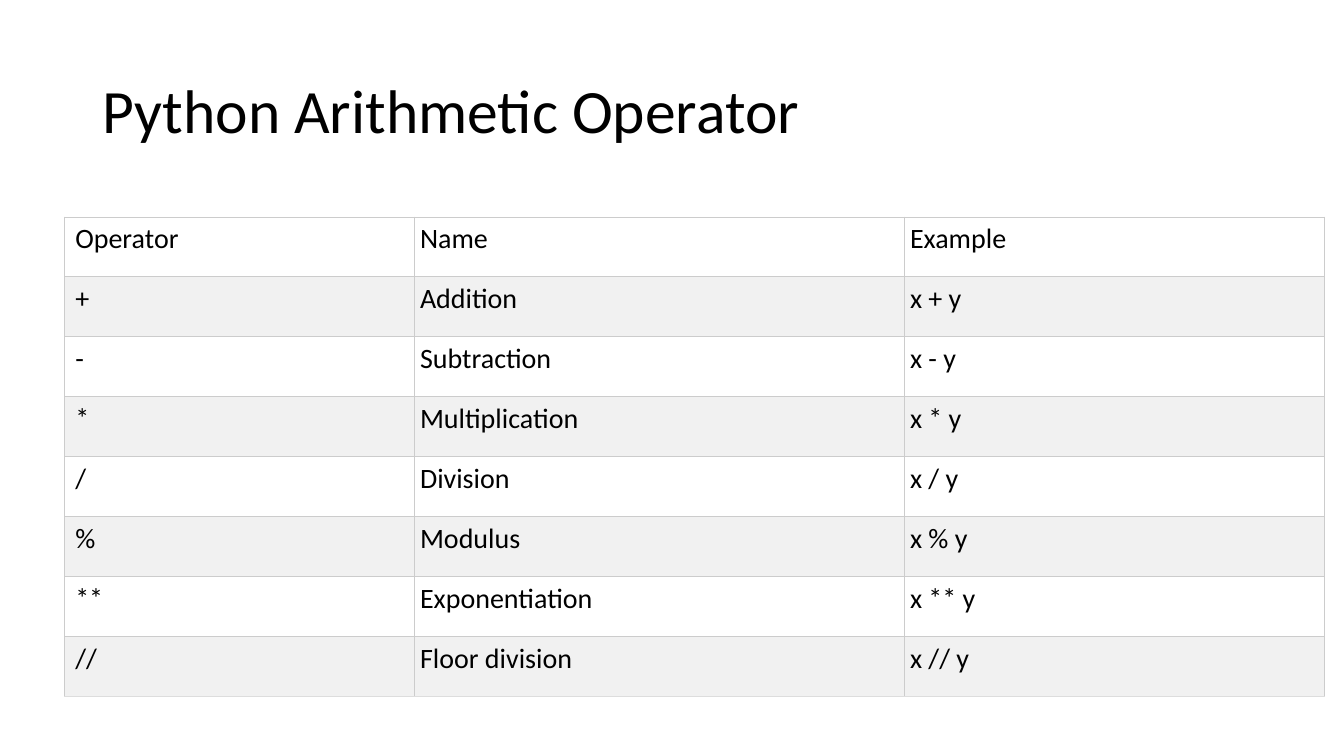
from dataclasses import dataclass

from lxml import etree
from pptx import Presentation
from pptx.dml.color import RGBColor
from pptx.enum.text import MSO_ANCHOR, PP_ALIGN
from pptx.oxml.ns import qn
from pptx.util import Pt

MIDDLE, TOP = MSO_ANCHOR.MIDDLE, MSO_ANCHOR.TOP
LEFT = PP_ALIGN.LEFT

# Content
TITLE = "Python Arithmetic Operator"
HEADER = ("Operator", "Name", "Example")
OPERATORS = [
    ("+", "Addition"),
    ("-", "Subtraction"),
    ("*", "Multiplication"),
    ("/", "Division"),
    ("%", "Modulus"),
    ("**", "Exponentiation"),
    ("//", "Floor division"),
]
ROWS = [HEADER] + [(op, name, f"x {op} y") for op, name in OPERATORS]


@dataclass(frozen=True)
class Theme:
    font: str = "Calibri"
    text: str = "000000"
    bands: tuple = ("FFFFFF", "F1F1F1")
    border: str = "CCCCCC"
    last_border: str = "DDDDDD"
    border_width: float = 0.75
    title_size: int = 44
    cell_size: int = 20


THEME = Theme()

# Layout in points
SLIDE_W, SLIDE_H = 960, 540
TITLE_BOX = (66, 28.75, 828, 104.4)
TABLE_LEFT, TABLE_TOP = 46.3, 155
COL_WIDTHS = (250, 350, 300)
ROW_H = 42.8
PAD, FIRST_PAD = 3.75, 7.5


def write(tf, text, *, size, anchor=TOP, spacing=1.0):
    tf.word_wrap = True
    tf.vertical_anchor = anchor
    p = tf.paragraphs[0]
    p.alignment = LEFT
    p.line_spacing = spacing
    r = p.add_run()
    r.text = text
    r.font.name = THEME.font
    r.font.size = Pt(size)
    r.font.color.rgb = RGBColor.from_string(THEME.text)


def add_borders(cell, bottom):
    tc_pr = cell._tc.get_or_add_tcPr()
    for side in "LRTB":
        ln = etree.SubElement(tc_pr, qn(f"a:ln{side}"), w=str(Pt(THEME.border_width)))
        fill = etree.SubElement(ln, qn("a:solidFill"))
        color = bottom if side == "B" else THEME.border
        etree.SubElement(fill, qn("a:srgbClr"), val=color)


def add_operator_table(s):
    frame = s.shapes.add_table(
        len(ROWS), len(HEADER), Pt(TABLE_LEFT), Pt(TABLE_TOP),
        Pt(sum(COL_WIDTHS)), Pt(ROW_H * len(ROWS)))
    table = frame.table
    for col, width in zip(table.columns, COL_WIDTHS):
        col.width = Pt(width)
    for i, values in enumerate(ROWS):
        table.rows[i].height = Pt(ROW_H)
        bottom = THEME.last_border if i == len(ROWS) - 1 else THEME.border
        for j, value in enumerate(values):
            cell = table.cell(i, j)
            cell.margin_left = Pt(PAD if j else FIRST_PAD)
            cell.margin_right = cell.margin_top = cell.margin_bottom = Pt(PAD)
            add_borders(cell, bottom)
            cell.fill.solid()
            cell.fill.fore_color.rgb = RGBColor.from_string(THEME.bands[i % 2])
            write(cell.text_frame, value, size=THEME.cell_size)
            cell.vertical_anchor = TOP
    table.first_row = table.horz_banding = False


def main():
    prs = Presentation()
    prs.slide_width, prs.slide_height = Pt(SLIDE_W), Pt(SLIDE_H)
    s = prs.slides.add_slide(prs.slide_layouts[5])

    # Title
    title = s.shapes.title
    title.left, title.top, title.width, title.height = map(Pt, TITLE_BOX)
    write(title.text_frame, TITLE, size=THEME.title_size, anchor=MIDDLE, spacing=0.9)

    # Operator table
    add_operator_table(s)
    prs.save("out.pptx")


if __name__ == "__main__":
    main()
